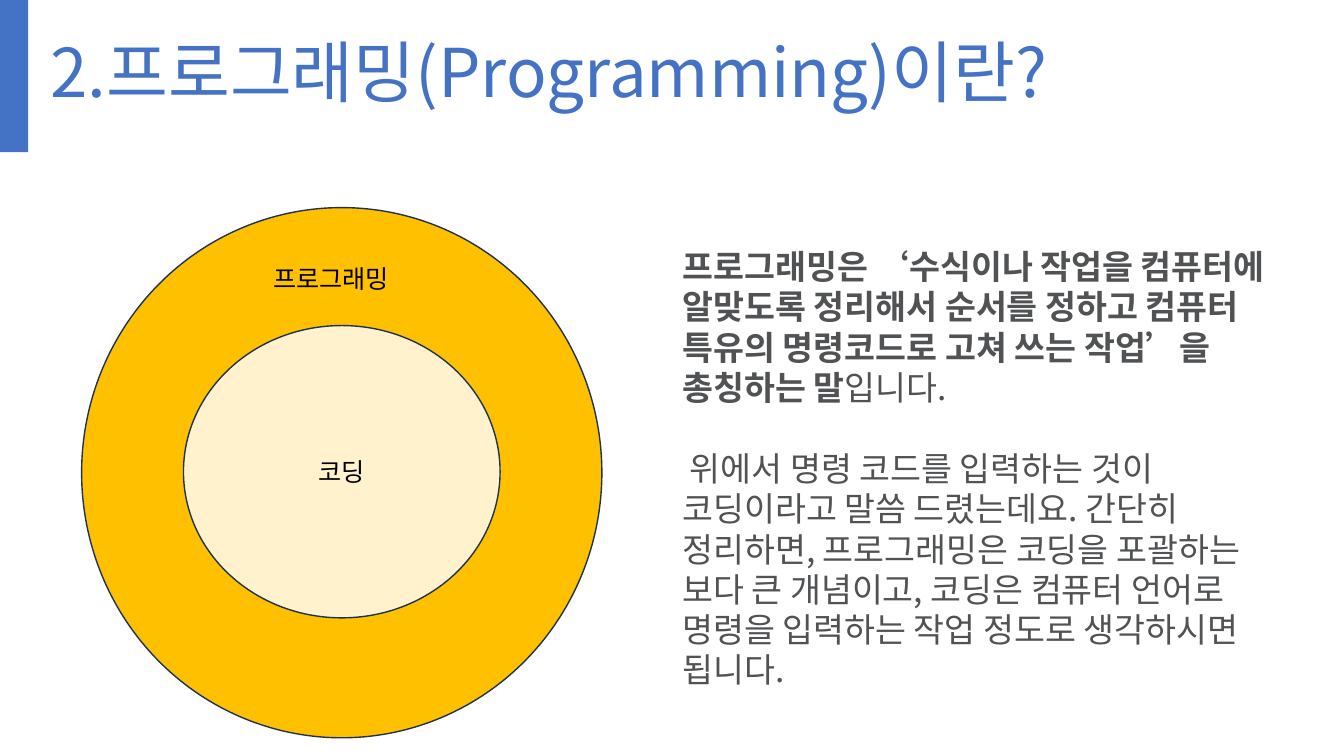
from lxml import etree
from pptx import Presentation
from pptx.dml.color import RGBColor
from pptx.enum.shapes import MSO_SHAPE
from pptx.enum.text import MSO_ANCHOR, PP_ALIGN
from pptx.oxml.ns import qn
from pptx.util import Inches, Pt

RECTANGLE = MSO_SHAPE.RECTANGLE
CIRCLE = MSO_SHAPE.FLOWCHART_CONNECTOR
MIDDLE, TOP = MSO_ANCHOR.MIDDLE, MSO_ANCHOR.TOP
LEFT, CENTER = PP_ALIGN.LEFT, PP_ALIGN.CENTER
FONT = "Noto Sans CJK KR"
TITLE_ONLY = 5
COLORS = {
    "accent": "4472C4",
    "programming": "FFC000",
    "coding": "FFF2CC",
    "outline": "1E3256",
    "label": "000000",
    "body": "505254",
}
DEFINITION = (
    "프로그래밍은 ‘수식이나 작업을 컴퓨터에 알맞도록 정리해서 순서를 정하고 "
    "컴퓨터 특유의 명령코드로 고쳐 쓰는 작업’을 총칭하는 말"
)
SUMMARY = (
    " 위에서 명령 코드를 입력하는 것이 코딩이라고 말씀 드렸는데요. 간단히 정리하면, "
    "프로그래밍은 코딩을 포괄하는 보다 큰 개념이고, 코딩은 컴퓨터 언어로 명령을 "
    "입력하는 작업 정도로 생각하시면 됩니다."
)


def color(name):
    """Return the named colour."""
    return RGBColor.from_string(COLORS[name])


def format_run(run, size, color_name, bold=False):
    """Set size, colour, weight and the Latin and East Asian fonts of a run."""
    run.font.size = Pt(size)
    run.font.bold = bold
    run.font.color.rgb = color(color_name)
    run.font.name = FONT
    east_asian = etree.Element(qn("a:ea"), typeface=FONT)
    run.font._element.find(qn("a:latin")).addnext(east_asian)


def write_line(shape, text, size, color_name, alignment, anchor):
    """Write one formatted paragraph into a shape."""
    frame = shape.text_frame
    frame.text = text
    frame.word_wrap = True
    frame.vertical_anchor = anchor
    paragraph = frame.paragraphs[0]
    paragraph.alignment = alignment
    format_run(paragraph.runs[0], size, color_name)
    return paragraph


def add_filled_shape(slide, kind, box, fill, outline=None):
    """Add a flat preset shape, with a thin outline if one is named."""
    shape = slide.shapes.add_shape(kind, *map(Inches, box))
    shape.shadow.inherit = False
    shape.fill.solid()
    shape.fill.fore_color.rgb = color(fill)
    if outline:
        shape.line.color.rgb = color(outline)
        shape.line.width = Pt(1)
    else:
        shape.line.fill.background()
    return shape


def add_title(slide, text):
    """Place and format the title placeholder."""
    title = slide.shapes.title
    title.left, title.top = Inches(0.4), Inches(0.33)
    title.width, title.height = Inches(10.5), Inches(0.84)
    paragraph = write_line(title, text, 48, "accent", LEFT, MIDDLE)
    paragraph.line_spacing = 0.9


def add_circles(slide):
    """Draw coding as a circle inside the programming circle."""
    add_filled_shape(slide, CIRCLE, (0.81, 2.06, 5.16, 5.26), "programming", "outline")
    coding = add_filled_shape(slide, CIRCLE, (1.82, 3.23, 3.14, 2.9), "coding", "outline")
    write_line(coding, "코딩", 18, "label", CENTER, MIDDLE)
    label = slide.shapes.add_textbox(Inches(2.61), Inches(2.56), Inches(1.55), Inches(0.4))
    write_line(label, "프로그래밍", 18, "label", LEFT, TOP)


def add_explanation(slide):
    """Add the definition and the summary beside the circles."""
    box = slide.shapes.add_textbox(Inches(6.67), Inches(2.39), Inches(6.07), Inches(5.15))
    definition = write_line(box, DEFINITION, 24, "body", LEFT, TOP)
    definition.runs[0].font.bold = True
    ending = definition.add_run()
    ending.text = "입니다."
    format_run(ending, 24, "body")
    summary = box.text_frame.add_paragraph()
    summary.text = SUMMARY
    summary.space_before = Pt(29)
    format_run(summary.runs[0], 24, "body")


def main():
    """Build and save the slide."""
    presentation = Presentation()
    presentation.slide_width = Inches(13.33)
    presentation.slide_height = Inches(7.5)
    slide = presentation.slides.add_slide(presentation.slide_layouts[TITLE_ONLY])
    add_filled_shape(slide, RECTANGLE, (0, 0, 0.28, 1.51), "accent")
    add_title(slide, "2.프로그래밍(Programming)이란?")
    add_circles(slide)
    add_explanation(slide)
    presentation.save("out.pptx")


if __name__ == "__main__":
    main()
